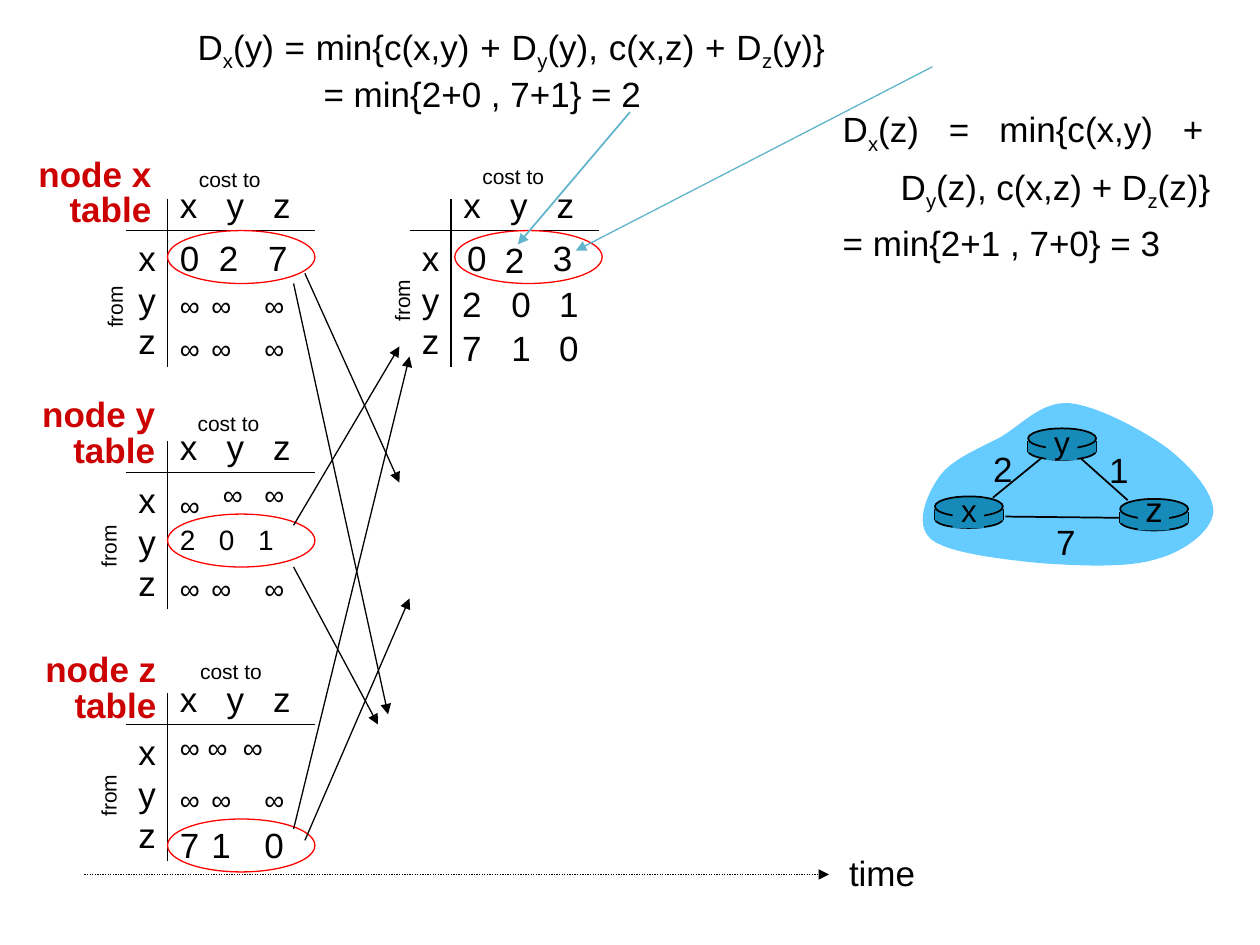
from dataclasses import dataclass

from lxml import etree
from pptx import Presentation
from pptx.dml.color import RGBColor
from pptx.enum.dml import MSO_LINE
from pptx.enum.shapes import MSO_CONNECTOR, MSO_SHAPE
from pptx.enum.text import MSO_ANCHOR, MSO_AUTO_SIZE, PP_ALIGN
from pptx.oxml.ns import qn
from pptx.util import Inches, Pt

STRAIGHT = MSO_CONNECTOR.STRAIGHT
OVAL, RECTANGLE = MSO_SHAPE.OVAL, MSO_SHAPE.RECTANGLE
LEFT, CENTER, RIGHT = PP_ALIGN.LEFT, PP_ALIGN.CENTER, PP_ALIGN.RIGHT
JUSTIFY = PP_ALIGN.JUSTIFY
TOP, MIDDLE = MSO_ANCHOR.TOP, MSO_ANCHOR.MIDDLE
GROW, DOTTED = MSO_AUTO_SIZE.SHAPE_TO_FIT_TEXT, MSO_LINE.ROUND_DOT


@dataclass(frozen=True)
class Theme:
    font: str = "Arial"
    ink: str = "000000"
    heading: str = "CC0000"
    ring: str = "FF0000"
    pointer: str = "60B5CC"
    cloud: str = "66CCFF"
    router: str = "168BBA"
    body: int = 20
    node: int = 18
    small: int = 16
    caption: int = 12


THEME = Theme()


def add_text(shapes, text, box, size=THEME.body, color=THEME.ink, bold=False,
             align=LEFT, anchor=TOP, spacing=None, wrap=False, rotation=0, tabs=()):
    """Newline starts a paragraph, \\v a line; _ switches subscript on and off."""
    label = shapes.add_textbox(*map(Inches, box))
    label.rotation = rotation
    frame = label.text_frame
    frame.word_wrap, frame.auto_size, frame.vertical_anchor = wrap, GROW, anchor
    for index, content in enumerate(text.split("\n")):
        paragraph = frame.paragraphs[0] if index == 0 else frame.add_paragraph()
        paragraph.alignment = align
        if spacing:
            paragraph.line_spacing = spacing
        if tabs:
            stops = etree.SubElement(paragraph._p.get_or_add_pPr(), qn("a:tabLst"))
            for stop in tabs:
                etree.SubElement(stops, qn("a:tab"), pos=str(Inches(stop)), algn="l")
        for line_number, line in enumerate(content.split("\v")):
            if line_number:
                paragraph.add_line_break()
            for part_number, part in enumerate(line.split("_")):
                run = paragraph.add_run()
                run.text = part
                font = run.font
                font.name, font.size, font.bold = THEME.font, Pt(size), bold
                font.color.rgb = RGBColor.from_string(color)
                if part_number % 2:
                    font._element.set("baseline", "-25000")


def add_line(shapes, start, end, color=THEME.ink, width=0.75, arrow=False, dash=None):
    connector = shapes.add_connector(STRAIGHT, *map(Inches, (*start, *end)))
    connector.line.color.rgb = RGBColor.from_string(color)
    connector.line.width = Pt(width)
    if dash:
        connector.line.dash_style = dash
    if arrow:
        etree.SubElement(connector.line._get_or_add_ln(), qn("a:tailEnd"), type="triangle")
    etree.SubElement(connector._element.spPr, qn("a:effectLst"))


def paint(shape, fill=None, outline=None, width=0.75):
    shape.shadow.inherit = False
    for target, color in ((shape.fill, fill), (shape.line.fill, outline)):
        if color:
            target.solid()
            target.fore_color.rgb = RGBColor.from_string(color)
        else:
            target.background()
    if outline:
        shape.line.width = Pt(width)


def add_shape(shapes, kind, box, **colors):
    paint(shapes.add_shape(kind, *map(Inches, box)), **colors)


def add_distance_table(shapes, left, top, cost_at, from_at):
    """Axes, column and row names, and the two axis captions."""
    axis_x, axis_y = left + 0.33, top + 0.25
    add_line(shapes, (axis_x, top), (axis_x, top + 1.33))
    add_line(shapes, (left, axis_y), (left + 1.5, axis_y))
    add_text(shapes, "x\ty\tz", (axis_x, top - 0.17, 1.13, 0.44), wrap=True, tabs=(0.37, 0.74))
    for row, name in enumerate("xyz"):
        add_text(shapes, name, (left, axis_y + row * 0.33, 0.34, 0.44))
    add_text(shapes, "cost to", (*cost_at, 0.7, 0.3), size=THEME.caption)
    add_text(shapes, "from", (*from_at, 0.54, 0.3), size=THEME.caption, rotation=270)


def add_cloud(shapes):
    start = (7.45, 3.79)
    curves = [
        ((7.54, 3.65), (7.77, 3.56), (7.94, 3.47)), ((8.11, 3.37), (8.27, 3.18), (8.49, 3.2)),
        ((8.71, 3.22), (9.08, 3.42), (9.27, 3.56)), ((9.46, 3.71), (9.64, 3.92), (9.63, 4.07)),
        ((9.61, 4.22), (9.4, 4.38), (9.17, 4.44)), ((8.94, 4.51), (8.55, 4.49), (8.26, 4.47)),
        ((7.96, 4.44), (7.52, 4.39), (7.39, 4.28)), ((7.25, 4.16), (7.36, 3.92), start),
    ]
    steps, points, origin = 12, [], start
    for curve in curves:
        for step in range(1, steps + 1):
            t = step / steps
            weights = ((1 - t) ** 3, 3 * t * (1 - t) ** 2, 3 * t * t * (1 - t), t ** 3)
            controls = (origin, *curve)
            points.append(tuple(
                Inches(sum(w * point[axis] for w, point in zip(weights, controls)))
                for axis in (0, 1)))
        origin = curve[-1]
    outline = shapes.build_freeform(*map(Inches, start), scale=1.0)
    outline.add_line_segments(points, close=True)
    paint(outline.convert_to_shape(), fill=THEME.cloud)


def add_router(shapes, name, left, top, size, label_rise):
    disc = {"fill": THEME.router, "outline": THEME.ink, "width": 1}
    add_shape(shapes, OVAL, (left, top + 0.11, 0.54, 0.14), **disc)
    for side in (left, left + 0.54):
        add_line(shapes, (side, top + 0.1), (side, top + 0.19), width=1)
    add_shape(shapes, RECTANGLE, (left, top + 0.1, 0.54, 0.09), fill=THEME.router)
    add_shape(shapes, OVAL, (left, top, 0.54, 0.16), **disc)
    add_shape(shapes, RECTANGLE, (left + 0.14, top + 0.02, 0.25, 0.23), fill=THEME.router)
    add_text(shapes, name, (left + 0.1, top - label_rise, 0.34, 0.4), size=size, align=CENTER)


def add_network(shapes):
    add_cloud(shapes)
    for start, end in (((7.88, 3.95), (8.26, 3.64)), ((8.58, 3.64), (8.95, 3.97)),
                       ((8.91, 4.11), (7.98, 4.1))):
        add_line(shapes, start, end, width=1)
    add_router(shapes, "x", 7.42, 3.94, THEME.node, 0.09)
    add_router(shapes, "z", 8.89, 3.96, THEME.body, 0.14)
    add_router(shapes, "y", 8.16, 3.4, THEME.node, 0.09)
    for cost, left, top in (("1", 8.7, 3.51), ("2", 7.78, 3.5), ("7", 8.28, 4.08)):
        add_text(shapes, cost, (left, top, 0.36, 0.44), align=CENTER)


def main():
    deck = Presentation()
    deck.slide_width, deck.slide_height = Inches(10), Inches(7.5)
    shapes = deck.slides.add_slide(deck.slide_layouts[6]).shapes

    # Distance tables and node headings
    for table in ((1, 1.58, (1.48, 1.27), (0.64, 2.28)),
                  (3.25, 1.58, (3.73, 1.25), (2.92, 2.23)),
                  (1, 3.5, (1.47, 3.21), (0.59, 4.18)),
                  (1, 5.5, (1.49, 5.18), (0.59, 6.16))):
        add_distance_table(shapes, *table)
    for node, left, top in (("x", 0.19, 1.21), ("y", 0.22, 3.12), ("z", 0.23, 5.14)):
        add_text(shapes, f"node {node}\ntable", (left, top, 1.11, 0.67),
                 color=THEME.heading, bold=True, align=RIGHT, spacing=0.85)

    # Unknown distances
    for top, columns in ((2.24, (1.33, 1.58, 2)), (2.58, (1.33, 1.58, 2)), (3.74, (1.67, 2)),
                         (4.49, (1.33, 1.58, 2)), (6.16, (1.33, 1.58, 2))):
        for left in columns:
            add_text(shapes, "∞", (left, top, 0.36, 0.37), size=THEME.small)

    # Known distances, a row in one box
    for row, left, top, size, tabs in (
            ("0\t2\t7", 1.33, 1.83, THEME.body, (0.31, 0.7)),
            ("2\t0\t1", 3.57, 2.19, THEME.body, (0.39, 0.77)),
            ("7\t1\t0", 3.57, 2.54, THEME.body, (0.39, 0.77)),
            ("∞\n2\t0\t1", 1.33, 3.83, THEME.small, (0.31, 0.62)),
            ("∞\t∞\t∞", 1.33, 5.75, THEME.small, (0.22, 0.5))):
        add_text(shapes, row, (left, top, 1.13, 0.44), size=size, wrap=True, tabs=tabs)

    # Known distances, one by one
    for value, left, top in (("0", 3.61, 1.83), ("2", 3.91, 1.84), ("3", 4.29, 1.83),
                             ("7", 1.33, 6.49), ("1", 1.58, 6.49), ("0", 2, 6.49)):
        add_text(shapes, value, (left, top, 0.36, 0.44))

    # Rings around each node's own vector
    for left, top in ((1.33, 1.83), (1.33, 4.08), (1.33, 6.5), (3.61, 1.83)):
        add_shape(shapes, OVAL, (left, top, 1.17, 0.42), outline=THEME.ring)

    # Messages between nodes
    for start, end in (((2.42, 2.17), (3.17, 3.83)), ((2.33, 2.25), (3.08, 5.67)),
                       ((2.33, 4.17), (3.17, 2.75)), ((2.33, 4.5), (3, 5.75)),
                       ((2.33, 6.58), (3.25, 2.83)), ((2.42, 6.67), (3.25, 4.75))):
        add_line(shapes, start, end, arrow=True)

    # Time axis
    add_line(shapes, (0.67, 6.94), (6.58, 6.94), arrow=True, dash=DOTTED)
    add_text(shapes, "time", (6.64, 6.71, 0.73, 0.44))

    add_network(shapes.add_group_shape().shapes)

    # Update equations and their pointers
    add_text(shapes, "D_x_(y) = min{c(x,y) + D_y_(y), c(x,z) + D_z_(y)} \v\t= min{2+0 , 7+1} = 2",
             (1.47, 0.17, 5.26, 0.77), align=JUSTIFY, anchor=MIDDLE, tabs=(1,))
    add_text(shapes, "D_x_(z) = min{c(x,y) + \v\tD_y_(z), c(x,z) + D_z_(z)}\n= min{2+1 , 7+0} = 3",
             (6.59, 0.78, 3.3, 1.31), align=JUSTIFY, anchor=MIDDLE, spacing=1.2, wrap=True,
             tabs=(0.46,))
    add_line(shapes, (5, 0.89), (4.11, 1.94), color=THEME.pointer, width=1, arrow=True)
    add_line(shapes, (7.4, 0.53), (4.57, 1.99), color=THEME.pointer, arrow=True)

    deck.save("out.pptx")


if __name__ == "__main__":
    main()
